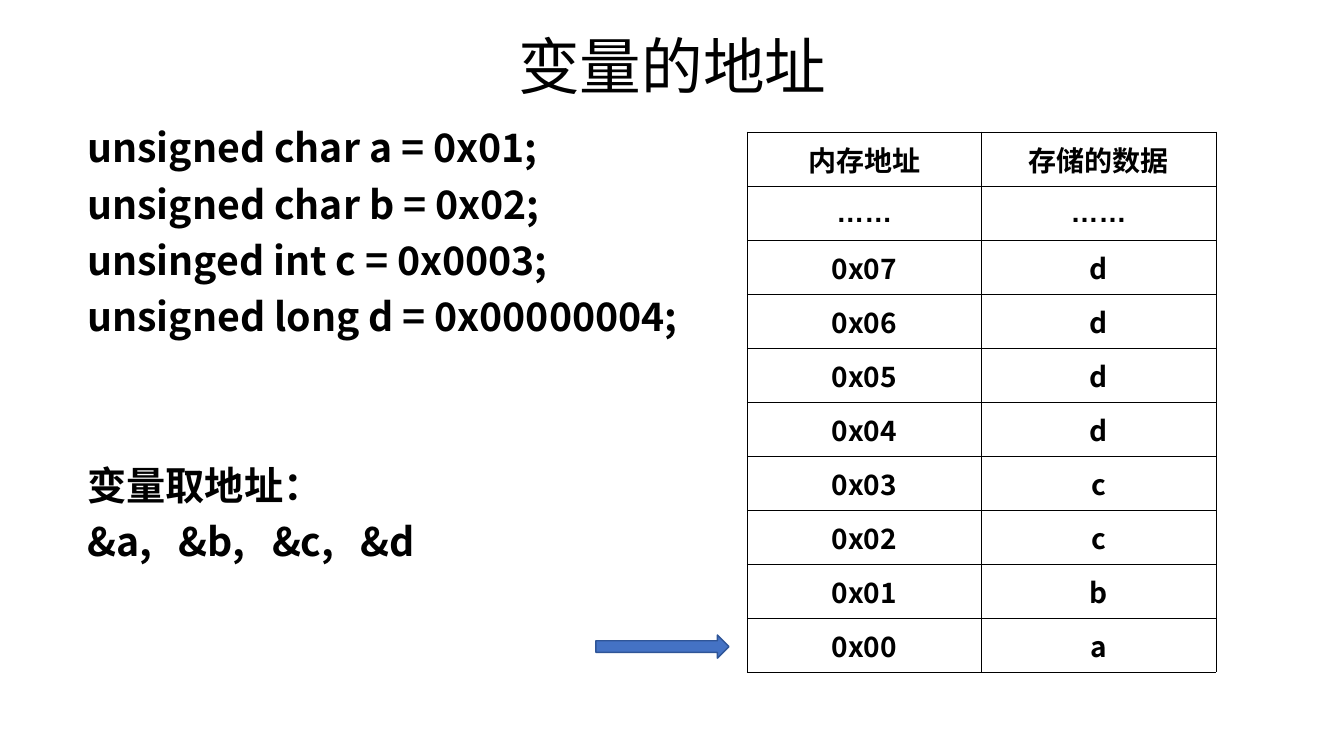
from lxml.etree import SubElement
from pptx import Presentation
from pptx.dml.color import RGBColor
from pptx.enum.shapes import MSO_SHAPE
from pptx.enum.text import MSO_ANCHOR, PP_ALIGN
from pptx.oxml.ns import qn
from pptx.util import Inches, Pt

SANS = "Noto Sans CJK SC"


def rgb(value):
    return RGBColor.from_string(value)


class SlideBuilder:
    ink = "000000"

    def __init__(self, prs):
        self.s = prs.slides.add_slide(prs.slide_layouts[5])

    def add_run(self, p, text, size, font=SANS, bold=True):
        r = p.add_run()
        r.text = text
        r.font.size, r.font.bold, r.font.name = Pt(size), bold, font
        r.font.color.rgb = rgb(self.ink)
        SubElement(r.font._element, qn("a:ea")).set("typeface", font)

    def title(self, text, x, y, w, h):
        sp = self.s.shapes.title
        sp.left, sp.top, sp.width, sp.height = map(Inches, (x, y, w, h))
        tf = sp.text_frame
        tf.vertical_anchor = MSO_ANCHOR.MIDDLE
        p = tf.paragraphs[0]
        p.alignment, p.line_spacing = PP_ALIGN.CENTER, 0.9
        self.add_run(p, text, 44, bold=False)

    def text(self, lines, x, y, w, h, tab_stops):
        """Each line is a pair of its text and the space before it."""
        sp = self.s.shapes.add_textbox(*map(Inches, (x, y, w, h)))
        tf = sp.text_frame
        tf.word_wrap = True
        for i, (line, before) in enumerate(lines):
            p = tf.paragraphs[0] if i == 0 else tf.add_paragraph()
            p.line_spacing, p.space_before = 0.9, Pt(before)
            if "\t" in line:
                tabs = SubElement(p._p.get_or_add_pPr(), qn("a:tabLst"))
                for stop in tab_stops:
                    SubElement(tabs, qn("a:tab"), pos=str(Inches(stop)), algn="l")
            self.add_run(p, line, 28)

    def cell_borders(self, cell):
        tcPr = cell._tc.get_or_add_tcPr()
        for i, side in enumerate(("lnL", "lnR", "lnT", "lnB")):
            ln = SubElement(tcPr, qn(f"a:{side}"), w=str(Pt(0.5)))
            fill = SubElement(ln, qn("a:solidFill"))
            SubElement(fill, qn("a:srgbClr"), val=self.ink)
            tcPr.insert(i, ln)

    def table(self, rows, x, y, w, h):
        sp = self.s.shapes.add_table(len(rows), len(rows[0]), *map(Inches, (x, y, w, h)))
        table = sp.table
        table.first_row = table.horz_banding = False
        for i, row in enumerate(rows):
            for j, value in enumerate(row):
                cell = table.cell(i, j)
                cell.fill.background()
                cell.vertical_anchor = MSO_ANCHOR.MIDDLE
                self.cell_borders(cell)
                p = cell.text_frame.paragraphs[0]
                p.alignment = PP_ALIGN.CENTER
                self.add_run(p, value, 20, "Arial" if value == "……" else SANS)

    def arrow(self, x, y, w, h, fill, line):
        sp = self.s.shapes.add_shape(MSO_SHAPE.RIGHT_ARROW, *map(Inches, (x, y, w, h)))
        sp.shadow.inherit = False
        sp.fill.solid()
        sp.fill.fore_color.rgb = rgb(fill)
        sp.line.color.rgb = rgb(line)
        sp.line.width = Pt(1)


def main():
    prs = Presentation()
    prs.slide_width, prs.slide_height = Inches(13.33), Inches(7.5)
    slide = SlideBuilder(prs)

    slide.title("变量的地址", 0.67, 0.3, 12, 0.77)

    # Declarations, then the address-of expressions after a gap
    slide.text([
        ("unsigned char a = 0x01;", 0),
        ("unsigned char b = 0x02;", 10),
        ("unsinged int c = 0x0003;", 10),
        ("unsigned long d = 0x00000004;", 10),
        ("变量取地址：", 90),
        ("&a,\t&b,\t&c,\t&d", 10),
    ], 0.77, 1.23, 6.37, 5.95, tab_stops=(0.9, 1.83, 2.71))

    # Memory map, highest address first
    stored = "abccdddd"
    memory = [(f"0x{i:02}", stored[i]) for i in reversed(range(len(stored)))]
    slide.table([("内存地址", "存储的数据"), ("……", "……")] + memory,
                7.41, 1.31, 4.65, 5.36)

    # Pointer to the first address
    slide.arrow(5.91, 6.3, 1.32, 0.23, "4472C4", "2F5597")

    prs.save("out.pptx")


if __name__ == "__main__":
    main()
